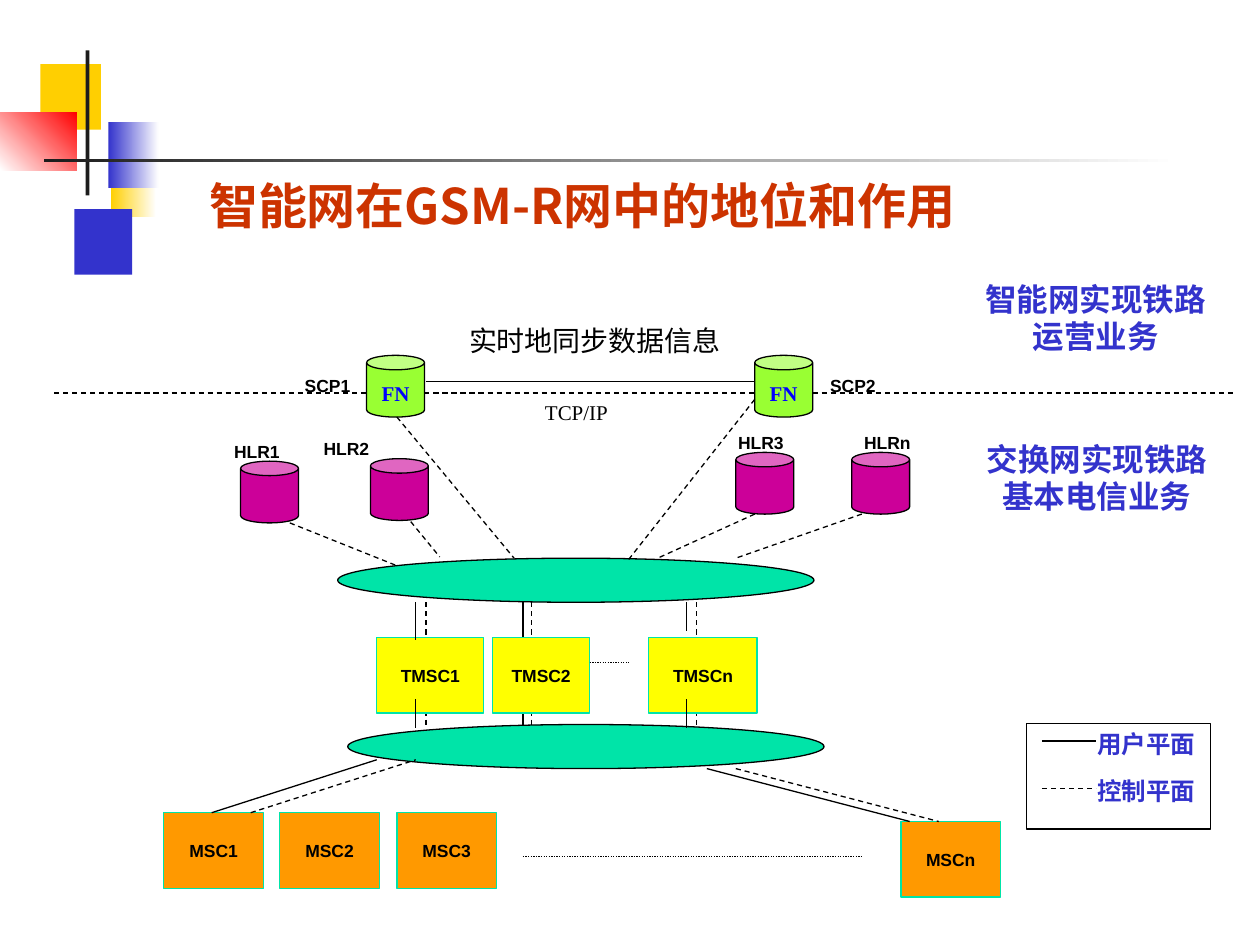
"""Draw the place of the intelligent network within a GSM-R network."""
from typing import Any, NamedTuple, Optional

from lxml import etree
from pptx import Presentation
from pptx.dml.color import RGBColor
from pptx.enum.dml import MSO_LINE
from pptx.enum.shapes import MSO_CONNECTOR, MSO_SHAPE
from pptx.enum.text import MSO_ANCHOR, MSO_AUTO_SIZE, PP_ALIGN
from pptx.oxml.ns import qn
from pptx.util import Inches, Pt

RECT, OVAL, CAN = MSO_SHAPE.RECTANGLE, MSO_SHAPE.OVAL, MSO_SHAPE.CAN
DASH, DOT = MSO_LINE.DASH, MSO_LINE.ROUND_DOT
LEFT, MID = PP_ALIGN.LEFT, PP_ALIGN.CENTER
TOP, CORE = MSO_ANCHOR.TOP, MSO_ANCHOR.MIDDLE
FIXED = MSO_AUTO_SIZE.NONE
STRAIGHT = MSO_CONNECTOR.STRAIGHT

BLACK = RGBColor(0x00, 0x00, 0x00)
WHITE = RGBColor(0xFF, 0xFF, 0xFF)
INK = RGBColor(0x1C, 0x1C, 0x1C)
GOLD = RGBColor(0xFF, 0xCF, 0x01)
NAVY = RGBColor(0x33, 0x33, 0xCC)
BLUE = RGBColor(0x00, 0x00, 0xFF)
RED = RGBColor(0xFF, 0x00, 0x00)
RUST = RGBColor(0xCC, 0x33, 0x00)
TEAL = RGBColor(0x00, 0xE4, 0xA8)
LIME = RGBColor(0x99, 0xFF, 0x33)
PLUM = RGBColor(0xCC, 0x00, 0x99)
AMBER = RGBColor(0xFF, 0x99, 0x00)
LEMON = RGBColor(0xFF, 0xFF, 0x00)

TAG = {"name": "Arial", "size": Pt(10), "bold": True}
KEY = {"name": "Arial", "size": Pt(14), "bold": True}
NOTE = {"name": "Times New Roman", "size": Pt(18), "bold": True}
NODE = {"name": "Times New Roman", "size": Pt(12), "bold": True}
LINK = {"name": "Times New Roman", "size": Pt(12), "bold": False}
SYNC = {"name": "Times New Roman", "size": Pt(16), "bold": False}
HEAD = {"name": "Noto Sans CJK SC", "size": Pt(28), "bold": True}


class Form(NamedTuple):
    kind: Any
    x: float
    y: float
    w: float
    h: float
    fill: RGBColor
    edge: Optional[RGBColor] = None
    fade: Optional[RGBColor] = None
    angle: float = 0
    text: str = ""


class Wire(NamedTuple):
    x1: float
    y1: float
    x2: float
    y2: float
    dash: Any = None


class Label(NamedTuple):
    text: str
    x: float
    y: float
    w: float
    h: float
    font: dict
    color: RGBColor = BLACK
    align: Any = LEFT
    wrap: bool = False


def write(frame: Any, text: str, font: dict, color: RGBColor, align: Any,
          anchor: Any = TOP, wrap: bool = True) -> None:
    format = {"text": text, "word_wrap": wrap, "auto_size": FIXED, "vertical_anchor": anchor}
    for name, value in format.items():
        setattr(frame, name, value)
    para = frame.paragraphs[0]
    para.alignment = align
    for name, value in font.items():
        setattr(para.font, name, value)
    para.font.color.rgb = color


def draw_form(shapes: Any, form: Form) -> None:
    shape = shapes.add_shape(form.kind, *map(Inches, form[1:5]))
    shape.shadow.inherit = False
    if form.fade is None:
        shape.fill.solid()
        shape.fill.fore_color.rgb = form.fill
    else:
        shape.fill.gradient()
        shape.fill.gradient_angle = form.angle
        for stop, color in zip(shape.fill.gradient_stops, (form.fill, form.fade)):
            stop.color.rgb = color
    if form.edge is None:
        shape.line.fill.background()
    else:
        shape.line.color.rgb = form.edge
        shape.line.width = Pt(0.75)
    if form.text:
        write(shape.text_frame, form.text, TAG, BLACK, MID, CORE)


def draw_wire(shapes: Any, wire: Wire) -> None:
    line = shapes.add_connector(STRAIGHT, *map(Inches, wire[:4]))
    line.line.color.rgb = BLACK
    line.line.width = Pt(0.75)
    if wire.dash is not None:
        line.line.dash_style = wire.dash
    etree.SubElement(line._element.spPr, qn("a:effectLst"))


def draw_label(shapes: Any, label: Label) -> None:
    box = shapes.add_textbox(*map(Inches, label[1:5]))
    write(box.text_frame, label.text, label.font, label.color, label.align, wrap=label.wrap)


def can(x: float, y: float, fill: RGBColor) -> Form:
    return Form(CAN, x, y, 0.46, 0.49, fill, BLACK)


def box(text: str, x: float, y: float, w: float, fill: RGBColor) -> Form:
    return Form(RECT, x, y, w, 0.6, fill, TEAL, text=text)


DECOR = [
    Form(RECT, 0.88, 1.2, 0.36, 0.52, GOLD, fade=WHITE),
    Form(RECT, 0.59, 1.66, 0.46, 0.52, NAVY),
    Form(RECT, 0.32, 0.51, 0.48, 0.52, GOLD),
    Form(RECT, 0.86, 0.97, 0.4, 0.52, NAVY, fade=WHITE),
    Form(RECT, 0, 0.89, 0.61, 0.46, WHITE, fade=RED, angle=45),
    Form(RECT, 0.68, 0.4, 0.03, 1.15, INK),
    Form(RECT, 0.35, 1.26, 9, 0.03, INK, fade=WHITE),
    Form(RECT, 8.15, 5.74, 1.46, 0.84, WHITE, BLACK),
]
RAILS = [Wire(0.43, 3.12, 9.8, 3.12, DASH), Wire(4.15, 4.78, 4.15, 5.75)]
RAILS += [Wire(x, 4.78, x, 5.75, DASH) for x in (3.38, 4.22, 5.53)]
NODES = [can(x, 2.82, LIME) for x in (2.91, 5.99)]
NODES += [can(x, y, PLUM) for x, y in ((1.91, 3.66), (2.94, 3.64), (5.84, 3.59), (6.76, 3.59))]
NODES += [box(text, x, 5.06, w, LEMON) for text, x, w in (
    ("TMSC1", 2.99, 0.85), ("TMSC2", 3.91, 0.77), ("TMSCn", 5.15, 0.86))]
NODES += [box(text, x, y, 0.79, AMBER) for text, x, y in (
    ("MSC1", 1.3, 6.45), ("MSC2", 2.22, 6.45), ("MSC3", 3.15, 6.45), ("MSCn", 7.15, 6.52))]
NODES += [Form(OVAL, x, y, 3.78, 0.35, TEAL, BLACK) for x, y in ((2.68, 4.43), (2.76, 5.75))]
LINKS = [
    Wire(8.27, 5.88, 8.7, 5.88), Wire(8.27, 6.26, 8.7, 6.26, DASH),
    Wire(3.38, 3.03, 5.99, 3.03),
    Wire(3.15, 3.31, 4.08, 4.43, DASH), Wire(5.99, 3.17, 4.99, 4.44, DASH),
    Wire(2.3, 4.15, 3.15, 4.49, DASH), Wire(3.26, 4.14, 3.49, 4.42, DASH),
    Wire(5.99, 4.08, 5.22, 4.43, DASH), Wire(6.84, 4.08, 5.84, 4.43, DASH),
    Wire(3.3, 4.78, 3.3, 5.08), Wire(5.45, 4.78, 5.45, 5.01),
    Wire(3.3, 5.55, 3.3, 5.78), Wire(5.45, 5.55, 5.45, 5.78),
    Wire(1.68, 6.45, 2.99, 6.03), Wire(1.99, 6.45, 3.3, 6.03, DASH),
    Wire(5.61, 6.1, 7.22, 6.52), Wire(5.84, 6.1, 7.45, 6.52, DASH),
    Wire(4.15, 6.8, 6.84, 6.8, DOT), Wire(4.68, 5.26, 4.99, 5.26, DOT),
]
LABELS = [Label(text, x, y, 0.56, 0.27, TAG) for text, x, y in (
    ("SCP1", 2.32, 2.93), ("SCP2", 6.49, 2.93), ("HLR1", 1.76, 3.45),
    ("HLR2", 2.47, 3.43), ("HLR3", 5.76, 3.38), ("HLRn", 6.76, 3.38))]
LABELS += [Label("FN", x, 2.97, 0.46, 0.3, NODE, BLUE, MID, True) for x in (2.91, 5.99)]
LABELS += [
    Label("TCP/IP", 4.15, 3.12, 0.85, 0.3, LINK, BLACK, MID, True),
    Label("实时地同步数据信息", 3.22, 2.52, 3, 0.37, SYNC, BLACK, MID, True),
    Label("用户平面", 8.61, 5.74, 0.98, 0.34, KEY, NAVY),
    Label("控制平面", 8.61, 6.11, 0.98, 0.34, KEY, NAVY),
    Label("智能网实现铁路运营业务", 7.67, 2.17, 2.05, 0.7, NOTE, NAVY, MID, True),
    Label("交换网实现铁路基本电信业务", 7.68, 3.44, 2.05, 0.7, NOTE, NAVY, MID, True),
]


def main() -> None:
    deck = Presentation()
    deck.slide_width, deck.slide_height = Inches(10), Inches(7.5)
    shapes = deck.slides.add_slide(deck.slide_layouts[5]).shapes
    title = shapes.title
    place = {"left": 1.56, "top": 1.34, "width": 7.08, "height": 0.57}
    for name, value in place.items():
        setattr(title, name, Inches(value))
    write(title.text_frame, "智能网在GSM-R网中的地位和作用", HEAD, RUST, LEFT)
    for draw, items in ((draw_form, DECOR), (draw_wire, RAILS), (draw_form, NODES),
                        (draw_wire, LINKS), (draw_label, LABELS)):
        for item in items:
            draw(shapes, item)
    deck.save("out.pptx")


if __name__ == "__main__":
    main()
